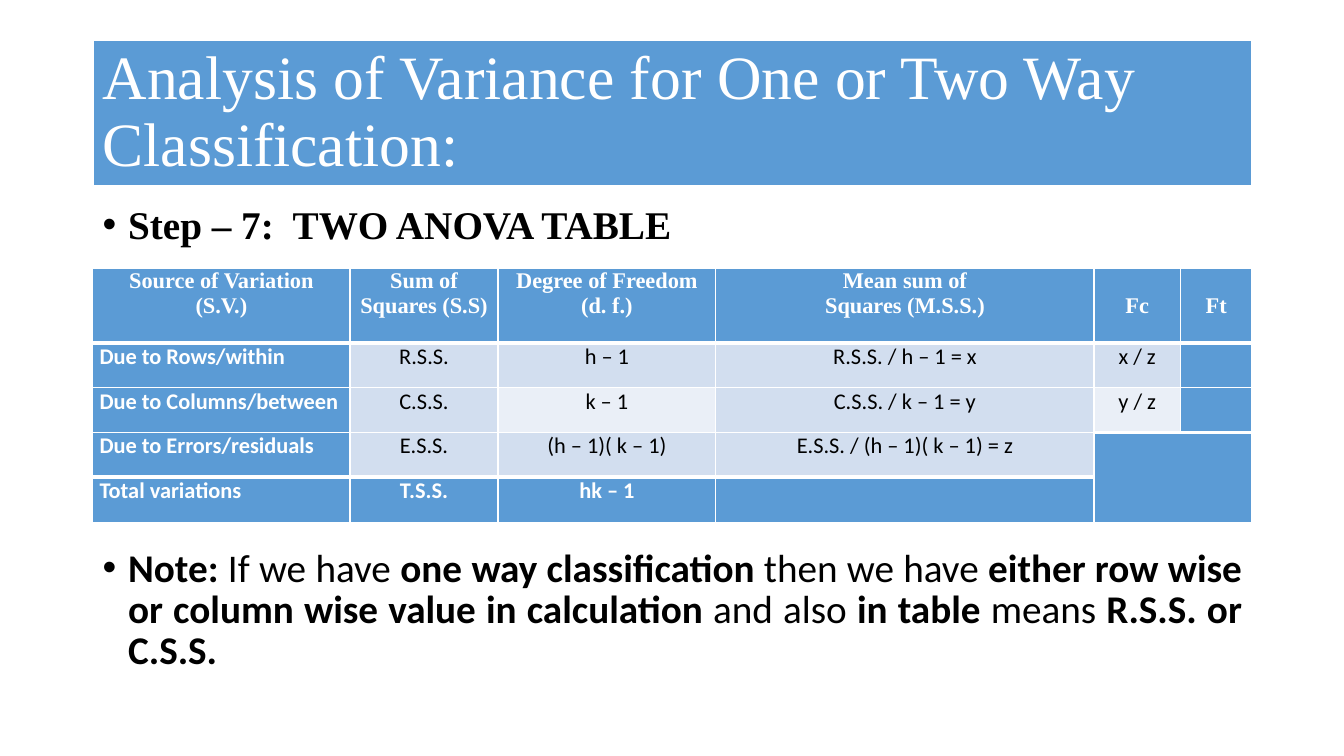
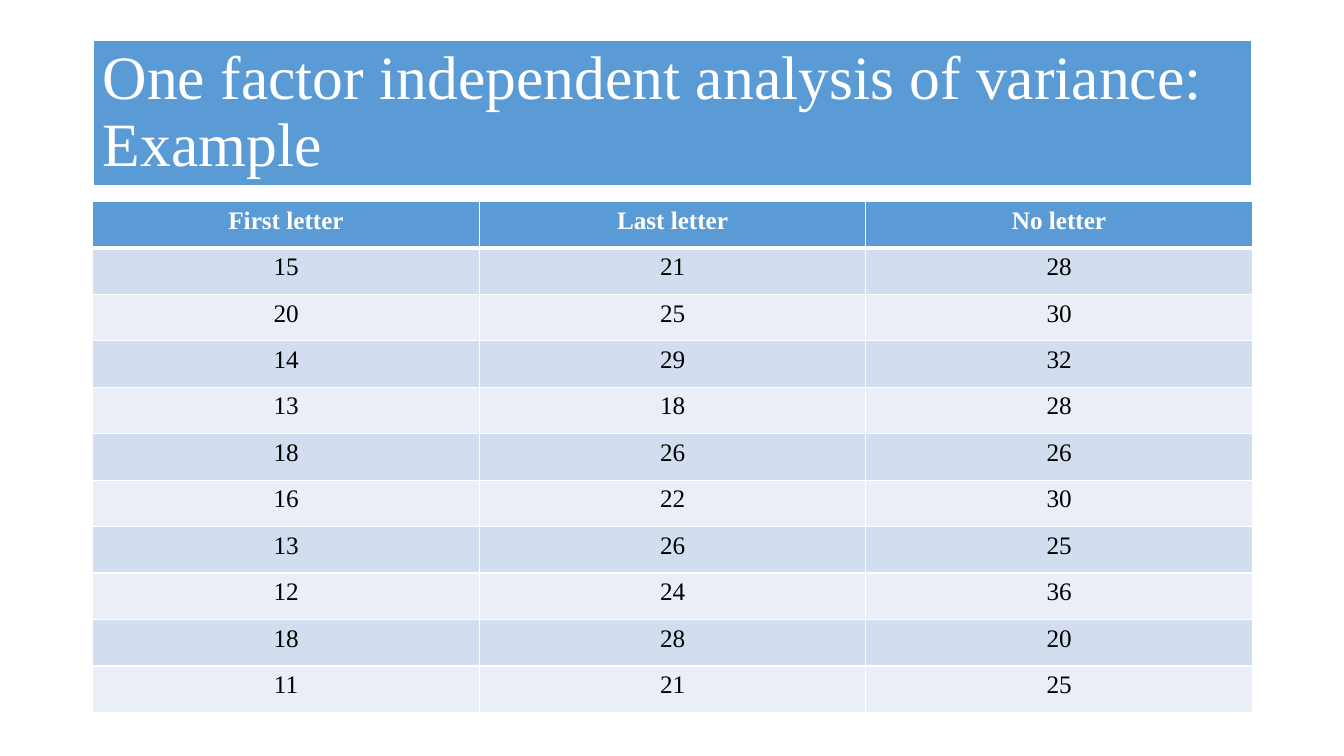
from lxml import etree
from pptx import Presentation
from pptx import util as u
from pptx.dml.color import RGBColor
from pptx.enum import shapes, text
from pptx.oxml import ns

# Shared style
BLUE = RGBColor(0x5B, 0x9B, 0xD5)
MIST = RGBColor(0xD2, 0xDE, 0xEF)
PALE = RGBColor(0xEA, 0xEF, 0xF7)
WHITE = RGBColor(0xFF, 0xFF, 0xFF)
BLACK = RGBColor(0, 0, 0)
SERIF, SANS = "Times New Roman", "Calibri"
LEFT, WIDTH = u.Cm(2.34), u.Cm(29.21)
CENTER, JUST = text.PP_ALIGN.CENTER, text.PP_ALIGN.JUSTIFY


class Deck:
    def __init__(self):
        self.prs = Presentation()
        self.prs.slide_width = u.Cm(33.87)
        self.prs.slide_height = u.Cm(19.05)
        self.slide = None

    def font(self, run, size, face, color, bold=False):
        run.font.size = u.Pt(size)
        run.font.name = face
        run.font.color.rgb = color
        run.font.bold = bold

    def page(self, title):
        """Start a slide with its title band."""
        self.slide = self.prs.slides.add_slide(self.prs.slide_layouts[6])
        band = self.slide.shapes.add_shape(
            shapes.MSO_SHAPE.RECTANGLE, LEFT, u.Cm(1.01), WIDTH, u.Cm(3.68))
        band.shadow.inherit = False
        band.fill.solid()
        band.fill.fore_color.rgb = BLUE
        band.line.color.rgb = WHITE
        band.line.width = u.Pt(1.5)
        frame = band.text_frame
        frame.text = title
        frame.vertical_anchor = text.MSO_ANCHOR.MIDDLE
        para = frame.paragraphs[0]
        para.alignment = text.PP_ALIGN.LEFT
        para.line_spacing = 0.9
        self.font(para.runs[0], 44, SERIF, WHITE)

    def body(self, top, height):
        box = self.slide.shapes.add_textbox(LEFT, top, WIDTH, height)
        box.text_frame.word_wrap = True
        return box.text_frame

    def bullet(self, para, parts, face):
        """Fill a bullet with parts that are bold and plain in turn."""
        props = para._p.get_or_add_pPr()
        props.set("marL", str(u.Cm(0.64)))
        props.set("indent", str(-u.Cm(0.64)))
        para.line_spacing = 0.87
        etree.SubElement(props, ns.qn("a:buFont"), typeface="Arial")
        etree.SubElement(props, ns.qn("a:buChar"), char="•")
        for i, part in enumerate(parts):
            run = para.add_run()
            run.text = part
            self.font(run, 28, face, BLACK, i % 2 == 0)

    def table(self, top, cols, rows):
        shape = self.slide.shapes.add_table(
            len(rows), len(cols), LEFT, top, WIDTH, u.Cm(sum(rows)))
        grid = shape.table
        for col, width in zip(grid.columns, cols):
            col.width = u.Cm(width)
        for row, height in zip(grid.rows, rows):
            row.height = u.Cm(height)
        return grid

    def edge(self, cell, side, width):
        props = cell._tc.get_or_add_tcPr()
        line = etree.SubElement(props, ns.qn("a:ln" + side), w=str(u.Pt(width)))
        fill = etree.SubElement(line, ns.qn("a:solidFill"))
        etree.SubElement(fill, ns.qn("a:srgbClr"), val=str(WHITE))

    def cell(self, cell, words, fill, size, face, align=CENTER, above=1, below=1):
        for side, width in zip("LRTB", (1, 1, above, below)):
            self.edge(cell, side, width)
        cell.fill.solid()
        cell.fill.fore_color.rgb = fill
        if not words:
            return
        cell.text_frame.text = words
        strong = fill == BLUE
        for para in cell.text_frame.paragraphs:
            para.alignment = align
            for run in para.runs:
                self.font(run, size, face, WHITE if strong else BLACK, strong)


deck = Deck()

# Two-way ANOVA table
deck.page("Analysis of Variance for One or Two Way Classification:")
frame = deck.body(u.Cm(5.08), u.Cm(12.09))
deck.bullet(frame.paragraphs[0], ["Step – 7:  TWO ANOVA TABLE"], SERIF)
note = frame.add_paragraph()
note.alignment = JUST
note.space_before = u.Pt(216)
deck.bullet(note, [
    "Note: ", "If we have ", "one way classification", " then we have ",
    "either row wise or column wise value in calculation", " and also ",
    "in table", " means ", "R.S.S. or C.S.S."], SANS)

ANOVA = [
    ["Source of Variation\n(S.V.)", "Sum of Squares (S.S)",
     "Degree of Freedom\n(d. f.)", "Mean sum of\nSquares (M.S.S.)", "Fc", "Ft"],
    ["Due to Rows/within", "R.S.S.", "h – 1", "R.S.S. / h – 1 = x", "x / z", ""],
    ["Due to Columns/between", "C.S.S.", "k – 1", "C.S.S. / k – 1 = y", "y / z", ""],
    ["Due to Errors/residuals", "E.S.S.", "(h – 1)( k – 1)",
     "E.S.S. / (h – 1)( k – 1) = z", "", ""],
    ["Total variations", "T.S.S.", "hk – 1", "", "", ""],
]
grid = deck.table(u.Cm(6.76), [6.48, 3.73, 5.49, 9.53, 2.18, 1.8],
                  [1.88] + [1.13] * 4)
# Cells with a thick line above them
heavy = ({(1, c) for c in range(6)} | {(4, c) for c in range(4)}
         | {(3, 4), (3, 5)})
for r, row in enumerate(ANOVA):
    for c, words in enumerate(row):
        cell = grid.cell(r, c)
        if r in (0, 4) or c == 0 or not words:
            fill = BLUE
        else:
            fill = PALE if r == 2 and c in (2, 4) else MIST
        if words:
            cell.margin_left = cell.margin_right = u.Cm(0.17)
            cell.margin_top = u.Cm(0.64 if r == 0 and c > 3 else 0)
            cell.margin_bottom = 0
        deck.cell(cell, words, fill, 16, SANS if r else SERIF,
                  JUST if r and c == 0 else CENTER,
                  3 if (r, c) in heavy else 1, 3 if (r + 1, c) in heavy else 1)
grid.cell(3, 4).merge(grid.cell(4, 5))

# One-factor example
deck.page("One factor independent analysis of variance: Example")
LETTERS = {
    "First letter": [15, 20, 14, 13, 18, 16, 13, 12, 18, 11],
    "Last letter": [21, 25, 29, 18, 26, 22, 26, 24, 28, 21],
    "No letter": [28, 30, 32, 28, 26, 30, 25, 36, 20, 25],
}
grid = deck.table(u.Cm(5.08), [9.74] * 3, [1.17] * 11)
for c, (head, scores) in enumerate(LETTERS.items()):
    for r, words in enumerate([head] + scores):
        fill = BLUE if r == 0 else MIST if r % 2 else PALE
        deck.cell(grid.cell(r, c), str(words), fill, 18, SERIF,
                  above=3 if r == 1 else 1, below=3 if r == 0 else 1)

deck.prs.save("out.pptx")
